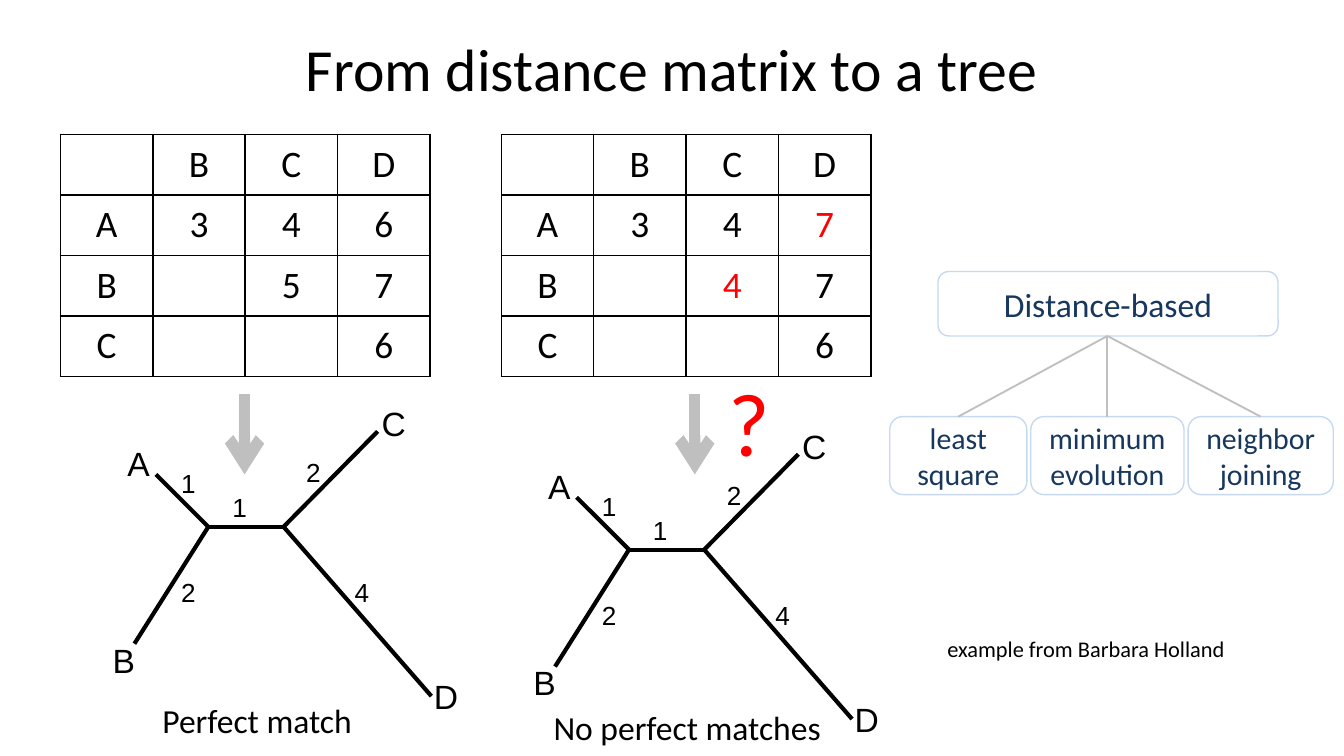
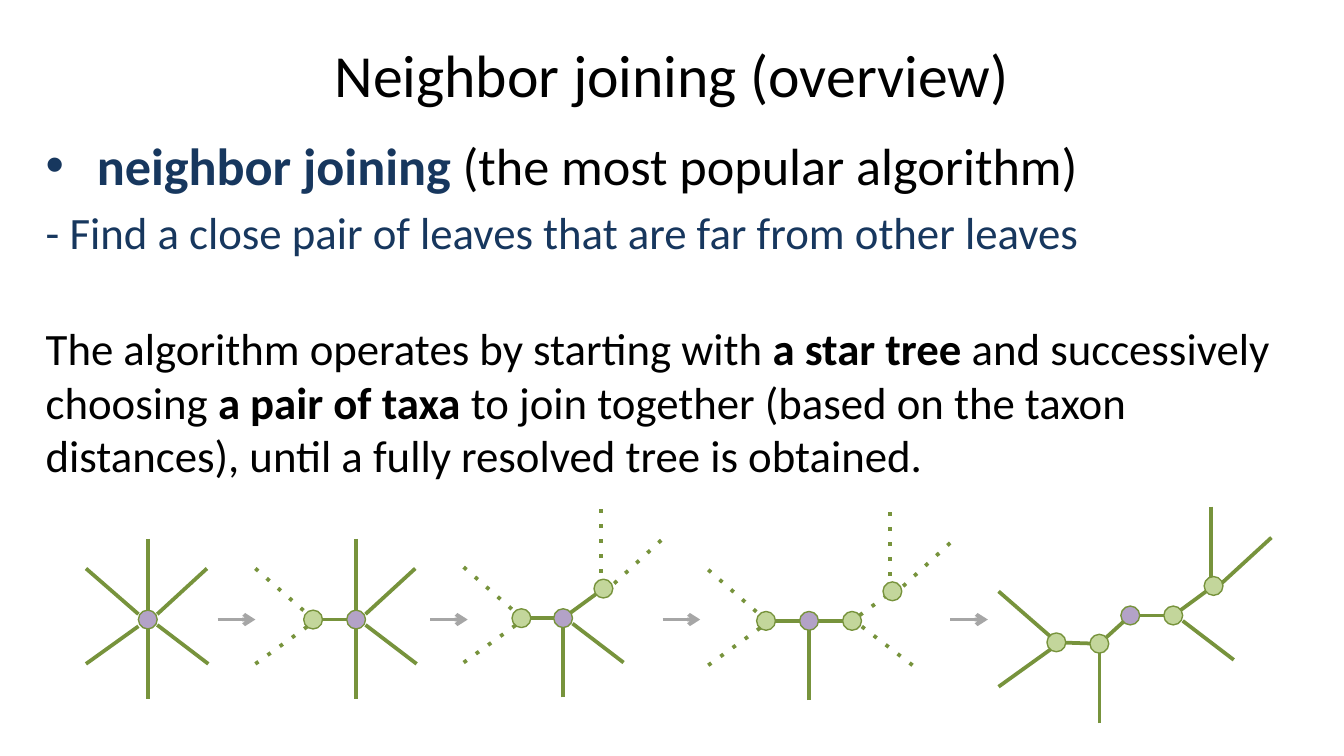
from dataclasses import dataclass
from math import hypot

from lxml import etree
from pptx import Presentation
from pptx import util as u
from pptx.dml.color import RGBColor
from pptx.enum import shapes as kinds, text as t
from pptx.oxml.ns import qn

EMU_PER_PX = 9144  # 100 px to the inch


@dataclass(frozen=True)
class Theme:
    black: str = "000000"
    red: str = "FF0000"
    navy: str = "17375E"
    pale_blue: str = "C6D9F1"
    silver: str = "BFBFBF"
    gray: str = "A6A6A6"
    olive: str = "77933C"
    leaf: str = "C3D69B"
    violet: str = "B3A2C7"
    font: str = "Calibri"
    diagram_font: str = "Arial"
    title: int = 32
    lead: int = 28
    body: int = 24
    cell: int = 20
    label: int = 18
    method: int = 16
    weight: int = 14
    credit: int = 12
    question: int = 48


THEME = Theme()


def px(value):
    return u.Emu(round(value * EMU_PER_PX))


def rgb(color):
    return RGBColor.from_string(color)


def place(shape, left, top, width, height):
    shape.left, shape.top, shape.width, shape.height = map(px, (left, top, width, height))


def add_run(paragraph, words, size, color=THEME.black, bold=False, font=THEME.font):
    run = paragraph.add_run()
    run.text = words
    run.font.name, run.font.size, run.font.bold = font, u.Pt(size), bold
    run.font.color.rgb = rgb(color)


def add_title(slide, words, box):
    title = slide.shapes.title
    place(title, *box)
    title.text_frame.vertical_anchor = t.MSO_ANCHOR.MIDDLE
    paragraph = title.text_frame.paragraphs[0]
    paragraph.alignment = t.PP_ALIGN.CENTER
    add_run(paragraph, words, THEME.title)


def add_label(shapes, words, box, size, color=THEME.black, font=THEME.font):
    label = shapes.add_textbox(*map(px, box))
    label.text_frame.word_wrap = False
    label.text_frame.auto_size = t.MSO_AUTO_SIZE.SHAPE_TO_FIT_TEXT
    add_run(label.text_frame.paragraphs[0], words, size, color, font=font)


def add_line(shapes, start, end, color, width, dotted=False, arrow=False):
    line = shapes.add_connector(kinds.MSO_CONNECTOR.STRAIGHT, *map(px, (*start, *end)))
    line.line.color.rgb = rgb(color)
    line.line.width = u.Pt(width)
    outline = line.line._get_or_add_ln()
    if dotted:
        etree.SubElement(outline, qn("a:prstDash"), val="dot")
    if arrow:
        etree.SubElement(outline, qn("a:tailEnd"), type="arrow")
    etree.SubElement(line._element.spPr, qn("a:effectLst"))


def shift(origin, offset):
    return origin[0] + offset[0], origin[1] + offset[1]


# Distance matrices and their trees

def add_cell_borders(cell):
    properties = cell._tc.get_or_add_tcPr()
    for index, side in enumerate(("lnL", "lnR", "lnT", "lnB")):
        border = etree.Element(qn(f"a:{side}"), w=str(u.Pt(1)))
        fill = etree.SubElement(border, qn("a:solidFill"))
        etree.SubElement(fill, qn("a:srgbClr"), val=THEME.black)
        properties.insert(index, border)


def add_matrix(slide, left, top, rows, mismatches=()):
    size = len(rows)
    table = slide.shapes.add_table(size, size, *map(px, (left, top, 275, 180))).table
    table.first_row = table.horz_banding = False
    for row, values in enumerate(rows):
        for column, value in enumerate(values):
            cell = table.cell(row, column)
            cell.fill.background()
            add_cell_borders(cell)
            cell.vertical_anchor = t.MSO_ANCHOR.MIDDLE
            if value:
                paragraph = cell.text_frame.paragraphs[0]
                paragraph.alignment = t.PP_ALIGN.CENTER
                color = THEME.red if (row, column) in mismatches else THEME.black
                add_run(paragraph, value, THEME.cell, color)


def add_quartet(slide, left, top):
    """Unrooted tree of the four taxa, with its branch lengths."""
    shapes = slide.shapes.add_group_shape().shapes
    origin = left, top
    west, east = (81, 97), (137, 97)
    for start, end in ((west, (42, 58)), (west, (26, 184)), (west, east),
                       (east, (207, 26)), (east, (247, 223))):
        add_line(shapes, shift(origin, start), shift(origin, end), THEME.black, 2.25)
    for taxon, corner in (("A", (11, 30)), ("B", (0, 176)), ("C", (200, 0)), ("D", (239, 203))):
        add_label(shapes, taxon, (*shift(origin, corner), 38, 40), THEME.label,
                  font=THEME.diagram_font)
    for length, corner in (("1", (51, 48)), ("1", (89, 66)), ("2", (144, 40)),
                           ("2", (51, 129)), ("4", (180, 129))):
        add_label(shapes, length, (*shift(origin, corner), 31, 34), THEME.weight,
                  font=THEME.diagram_font)


def add_methods(slide, left, top):
    """Hierarchy of the distance-based methods."""
    shapes = slide.shapes.add_group_shape().shapes

    def add_method(words, box, size):
        method = shapes.add_shape(kinds.MSO_SHAPE.ROUNDED_RECTANGLE, *map(px, box))
        method.shadow.inherit = False
        method.fill.background()
        method.line.color.rgb = rgb(THEME.pale_blue)
        method.line.width = u.Pt(0.75)
        method.text_frame.word_wrap = True
        method.text_frame.vertical_anchor = t.MSO_ANCHOR.MIDDLE
        paragraph = method.text_frame.paragraphs[0]
        paragraph.alignment = t.PP_ALIGN.CENTER
        add_run(paragraph, words, size, THEME.navy)

    add_method("Distance-based", (left + 36, top, 253, 48), THEME.label)
    root = left + 162, top + 48
    child_left, child_top, gap = left, top + 108, 3
    for words, width in (("least square", 102), ("minimum evolution", 114),
                         ("neighbor joining", 108)):
        add_method(words, (child_left, child_top, width, 58), THEME.method)
        add_line(shapes, root, (child_left + width / 2, child_top), THEME.silver, 1)
        child_left += width + gap


def build_matrix_slide(presentation):
    slide = presentation.slides.add_slide(presentation.slide_layouts[5])
    add_title(slide, "From distance matrix to a tree", (50, 8, 900, 85))
    header = ("", "B", "C", "D")
    last = ("C", "", "", "6")
    add_matrix(slide, 45, 100, (header, ("A", "3", "4", "6"), ("B", "", "5", "7"), last))
    add_matrix(slide, 373, 100, (header, ("A", "3", "4", "7"), ("B", "", "4", "7"), last),
               mismatches=((1, 3), (2, 2)))
    for arrow_x, tree_corner, caption, caption_box in (
            (182, (74, 295), "Perfect match", (111, 516, 164, 40)),
            (517, (387, 312), "No perfect matches", (402, 521, 222, 40))):
        add_line(slide.shapes, (arrow_x, 293), (arrow_x, 353), THEME.silver, 6, arrow=True)
        add_quartet(slide, *tree_corner)
        add_label(slide.shapes, caption, caption_box, THEME.label)
    add_label(slide.shapes, "?", (532, 268, 51, 91), THEME.question, THEME.red)
    add_methods(slide, 662, 202)
    add_label(slide.shapes, "example from Barbara Holland", (695, 468, 230, 30), THEME.credit)


# Neighbor joining

# Branch name: tip and root, measured from the centre of its node
BRANCHES = {
    "up": ((0, -60), (0, -7)),
    "outer up": ((-2, -59), (-2, -7)),
    "down": ((0, 59), (0, 7)),
    "ne": ((44, -38), (7, -4)),
    "outer ne": ((43, -36), (6, -2)),
    "se": ((45, 33), (7, 4)),
    "nw": ((-43, -38), (-4, -4)),
    "sw": ((-43, 33), (-4, 5)),
    "star nw": ((-46, -38), (-7, -4)),
    "star sw": ((-46, 33), (-7, 5)),
}


@dataclass(frozen=True)
class Stage:
    hub: tuple
    nodes: dict  # centres, measured from the hub
    joins: tuple
    solid: tuple
    dotted: tuple = ()
    dotted_joins: tuple = ()


WEST = (("left", "nw"), ("left", "sw"))
TOP = (("top", "outer up"), ("top", "outer ne"))
STAGES = (
    Stage((110, 461), {}, (),
          tuple(("hub", branch) for branch in ("up", "down", "ne", "se", "star nw", "star sw"))),
    Stage((265, 461), {"left": (-32, 0)}, (("hub", "left"),),
          tuple(("hub", branch) for branch in ("up", "down", "ne", "se")), WEST),
    Stage((419, 460), {"left": (-31, 0), "top": (30, -22)},
          (("hub", "left"), ("hub", "top")),
          (("hub", "down"), ("hub", "se")), WEST + TOP),
    Stage((602, 462), {"left": (-32, 0), "right": (32, 0), "top": (62, -22)},
          (("hub", "left"), ("hub", "right")),
          (("hub", "down"),), WEST + TOP + (("right", "se"),), (("right", "top"),)),
    Stage((841, 458), {"left": (-55, 20), "low": (-23, 21), "right": (32, 0), "top": (62, -22)},
          (("left", "low"), ("low", "hub"), ("hub", "right"), ("right", "top")),
          WEST + TOP + (("low", "down"), ("right", "se"))),
)


def add_stage(slide, stage):
    shapes = slide.shapes.add_group_shape().shapes
    radius = 7
    centres = {name: shift(stage.hub, offset)
               for name, offset in {"hub": (0, 0), **stage.nodes}.items()}
    for branches, dotted in ((stage.solid, False), (stage.dotted, True)):
        for node, branch in branches:
            tip, root = (shift(centres[node], offset) for offset in BRANCHES[branch])
            add_line(shapes, tip, root, THEME.olive, 2, dotted)
    for joins, dotted in ((stage.joins, False), (stage.dotted_joins, True)):
        for first, second in joins:
            start, end = centres[first], centres[second]
            run, rise = end[0] - start[0], end[1] - start[1]
            trim = radius / hypot(run, rise)
            add_line(shapes, shift(start, (run * trim, rise * trim)),
                     shift(end, (-run * trim, -rise * trim)), THEME.olive, 2, dotted)
    for name, (x, y) in centres.items():
        node = shapes.add_shape(kinds.MSO_SHAPE.OVAL, px(x - radius), px(y - radius),
                                px(2 * radius), px(2 * radius))
        node.shadow.inherit = False
        node.fill.solid()
        node.fill.fore_color.rgb = rgb(THEME.violet if name == "hub" else THEME.leaf)
        node.line.color.rgb = rgb(THEME.olive)
        node.line.width = u.Pt(0.75)


def add_overview(slide, box):
    body = slide.placeholders[1]
    place(body, *box)
    frame = body.text_frame
    frame.auto_size = t.MSO_AUTO_SIZE.NONE
    paragraphs = (
        (0, True, (("neighbor joining ", THEME.lead, THEME.navy, True),
                   ("(the most popular algorithm)", THEME.lead))),
        (5, False, (("- Find a close pair of leaves that are far from other leaves",
                     THEME.body, THEME.navy),)),
        (33, False, (("The algorithm operates by starting with ", THEME.body),
                     ("a star tree ", THEME.body, THEME.black, True),
                     ("and successively choosing ", THEME.body),
                     ("a pair of taxa ", THEME.body, THEME.black, True),
                     ("to join together (based on the taxon distances), "
                      "until a fully resolved tree is obtained.", THEME.body))),
    )
    for index, (space, bulleted, runs) in enumerate(paragraphs):
        paragraph = frame.add_paragraph() if index else frame.paragraphs[0]
        paragraph.space_before = u.Pt(space)
        properties = paragraph._p.get_or_add_pPr()
        indent = px(38) if bulleted else 0
        properties.set("marL", str(indent))
        properties.set("indent", str(-indent))
        if bulleted:
            etree.SubElement(properties, qn("a:buFont"), typeface="Arial")
            etree.SubElement(properties, qn("a:buChar"), char="•")
        else:
            etree.SubElement(properties, qn("a:buNone"))
        for run in runs:
            add_run(paragraph, *run)


def build_joining_slide(presentation):
    slide = presentation.slides.add_slide(presentation.slide_layouts[1])
    add_title(slide, "Neighbor joining (overview)", (50, 23, 900, 63))
    add_overview(slide, (24, 94, 939, 296))
    for stage in STAGES:
        add_stage(slide, stage)
    for left in (162, 320, 493, 707):
        add_line(slide.shapes, (left, 461), (left + 28, 461), THEME.gray, 2, arrow=True)


def main():
    presentation = Presentation()
    presentation.slide_width = px(1000)
    presentation.slide_height = presentation.slide_width * 9 // 16
    build_matrix_slide(presentation)
    build_joining_slide(presentation)
    presentation.save("out.pptx")


if __name__ == "__main__":
    main()
